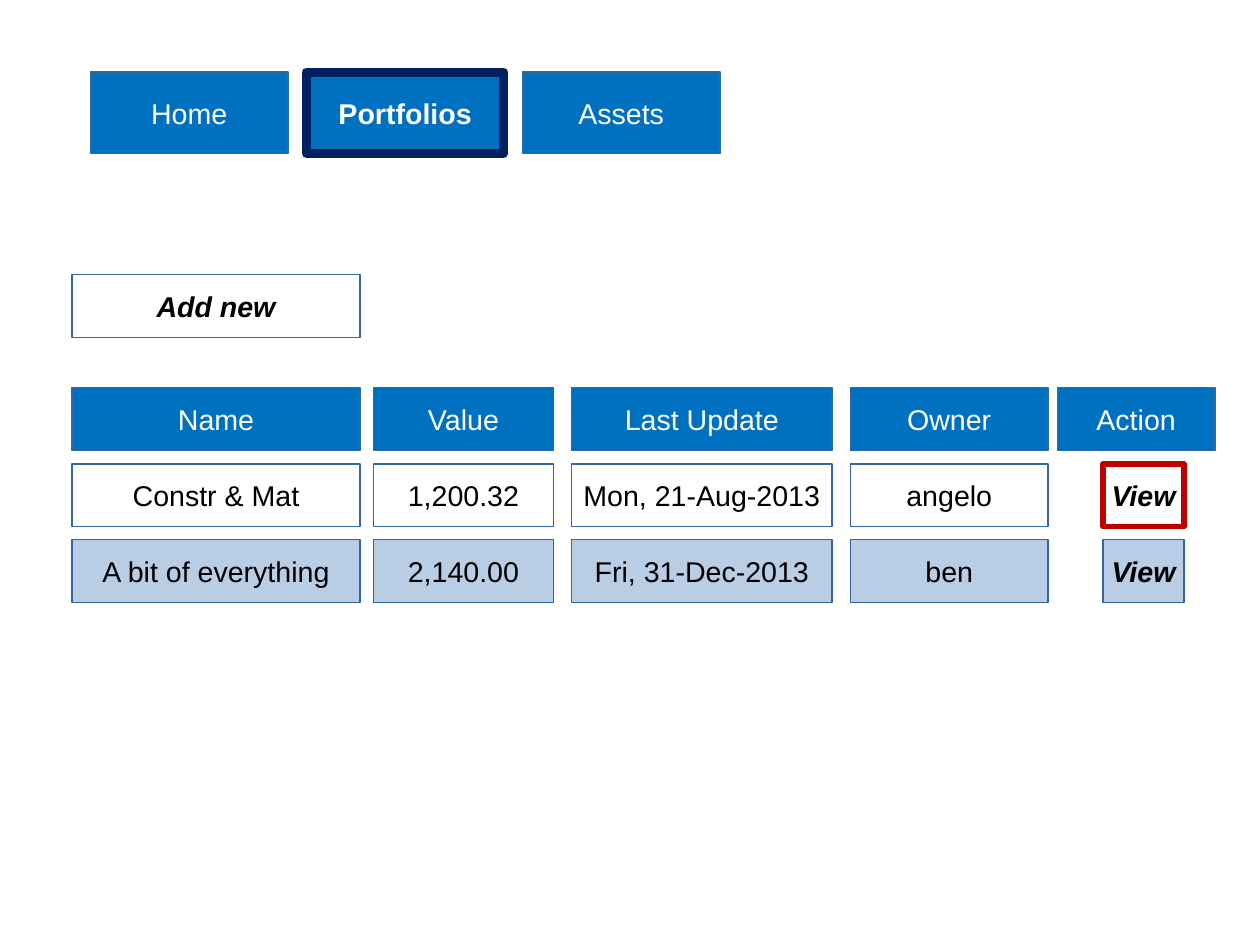
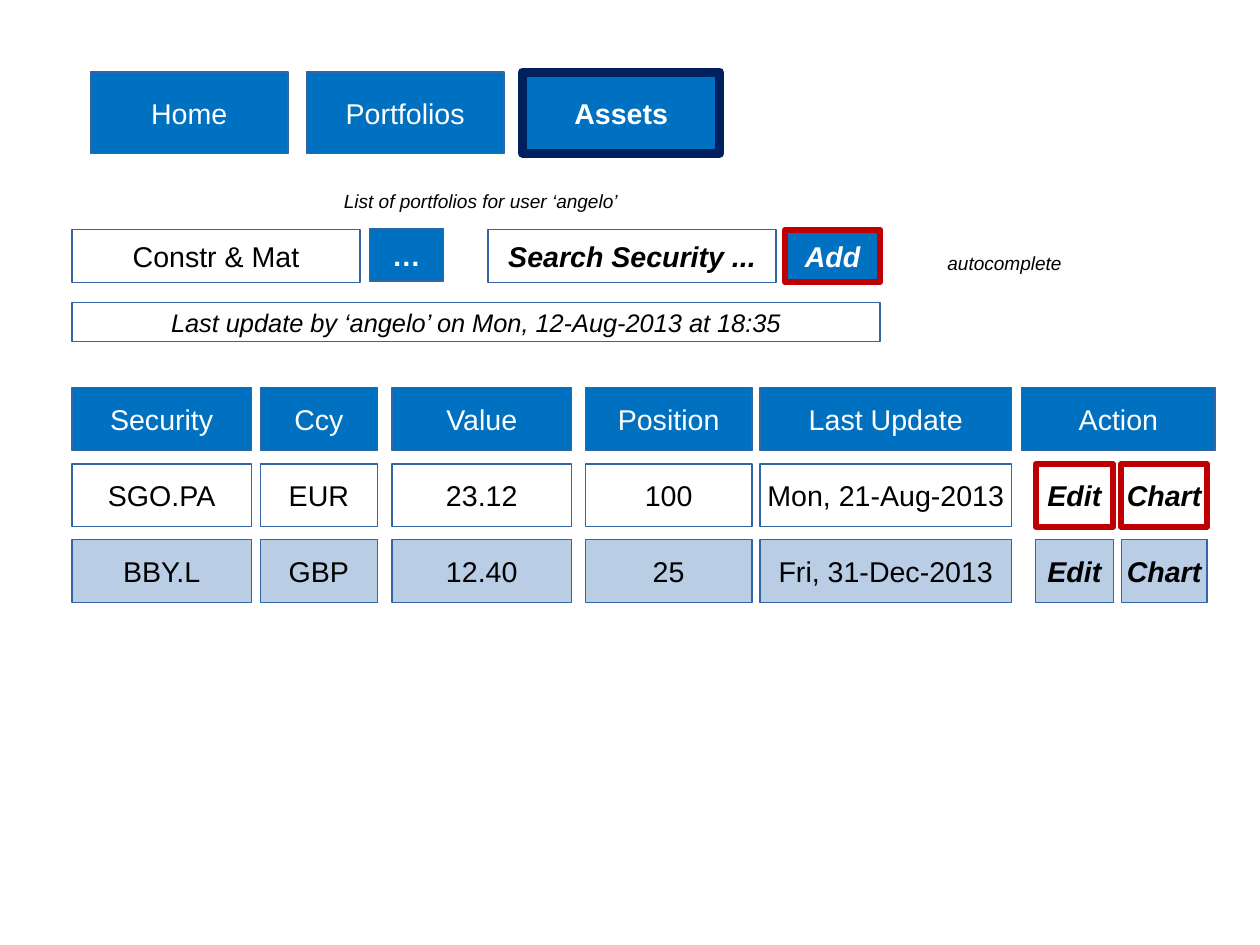
import pptx
import pptx.util
import pptx.dml.color
import pptx.enum.shapes
import pptx.enum.text

Inches = pptx.util.Inches
Pt = pptx.util.Pt
RGBColor = pptx.dml.color.RGBColor
Align = pptx.enum.text.PP_ALIGN
Anchor = pptx.enum.text.MSO_ANCHOR

BLUE = RGBColor(0x00, 0x70, 0xC0)
NAVY = RGBColor(0x00, 0x20, 0x60)
EDGE = RGBColor(0x34, 0x65, 0xA4)
PALE = RGBColor(0xB9, 0xCD, 0xE5)
RED = RGBColor(0xC0, 0x00, 0x00)
WHITE = RGBColor(0xFF, 0xFF, 0xFF)
BLACK = RGBColor(0x00, 0x00, 0x00)
FONT = "Arial"


def write(slide, text, left, top, width, height, fill=None, edge=EDGE,
          weight=0.75, size=18, bold=False, italic=False):
    area = [Inches(n) for n in (left, top, width, height)]
    if fill is None:
        frame = slide.shapes.add_textbox(*area).text_frame
        frame.word_wrap = True
    else:
        box = slide.shapes.add_shape(
            pptx.enum.shapes.MSO_SHAPE.RECTANGLE, *area)
        box.shadow.inherit = False
        box.fill.solid()
        box.fill.fore_color.rgb = fill
        box.line.color.rgb = edge
        box.line.width = Pt(weight)
        frame = box.text_frame
        frame.word_wrap = False
        frame.vertical_anchor = Anchor.MIDDLE
    par = frame.paragraphs[0]
    par.alignment = Align.LEFT if fill is None else Align.CENTER
    run = par.add_run()
    run.text = text
    font = run.font
    font.name = FONT
    font.size = Pt(size)
    font.bold = bold
    font.italic = italic
    font.color.rgb = WHITE if fill == BLUE else BLACK


deck = pptx.Presentation()
deck.slide_width = pptx.util.Cm(28)
deck.slide_height = pptx.util.Cm(21)

tabs = ["Home", "Portfolios", "Assets"]
pages = [
    {
        "tab": "Portfolios",
        "cols": [(0.63, 2.52), (3.27, 1.57), (5, 2.28), (7.44, 1.73),
                 (9.25, 1.38)],
        "head": ["Name", "Value", "Last Update", "Owner", "Action"],
        "rows": [
            ["Constr & Mat", "1,200.32", "Mon, 21-Aug-2013", "angelo"],
            ["A bit of everything", "2,140.00", "Fri, 31-Dec-2013", "ben"],
        ],
        "acts": [("View", 9.65, 0.71)],
        "weight": 3.25,
    },
    {
        "tab": "Assets",
        "cols": [(0.63, 1.57), (2.28, 1.02), (3.43, 1.57), (5.12, 1.46),
                 (6.65, 2.2), (8.94, 1.69)],
        "head": ["Security", "Ccy", "Value", "Position", "Last Update",
                 "Action"],
        "rows": [
            ["SGO.PA", "EUR", "23.12", "100", "Mon, 21-Aug-2013"],
            ["BBY.L", "GBP", "12.40", "25", "Fri, 31-Dec-2013"],
        ],
        "acts": [("Edit", 9.06, 0.68), ("Chart", 9.81, 0.75)],
        "weight": 3.75,
    },
]
tall = 0.55
looks = [(4.06, WHITE, RED), (4.72, PALE, EDGE)]
slides = []

for page in pages:
    slide = deck.slides.add_slide(deck.slide_layouts[6])
    slides.append(slide)
    for i, tab in enumerate(tabs):
        on = tab == page["tab"]
        write(slide, tab, 0.79 + 1.89 * i, 0.63, 1.73, 0.71, fill=BLUE,
              edge=NAVY if on else EDGE, weight=5.67 if on else 0.75, bold=on)
    for text, (left, width) in zip(page["head"], page["cols"]):
        write(slide, text, left, 3.39, width, tall, fill=BLUE)
    for row, (top, fill, edge) in zip(page["rows"], looks):
        for text, (left, width) in zip(row, page["cols"]):
            write(slide, text, left, top, width, tall, fill=fill)
        for text, left, width in page["acts"]:
            write(slide, text, left, top, width, tall, fill=fill, edge=edge,
                  weight=page["weight"] if edge == RED else 0.75,
                  bold=True, italic=True)

lists, assets = slides
write(lists, "Add new", 0.63, 2.4, 2.52, tall, fill=WHITE, bold=True,
      italic=True)

write(assets, "Constr & Mat", 0.63, 2.01, 2.52, 0.46, fill=WHITE)
write(assets, "…", 3.23, 2, 0.65, 0.46, fill=BLUE, bold=True)
write(assets, "Search Security ...", 4.27, 2.01, 2.52, 0.46, fill=WHITE,
      bold=True, italic=True)
write(assets, "Add", 6.87, 2.01, 0.83, 0.46, fill=BLUE, edge=RED, weight=4,
      bold=True, italic=True)
write(assets, "Last update by ‘angelo’ on Mon, 12-Aug-2013 at 18:35",
      0.63, 2.65, 7.07, 0.34, fill=WHITE, size=16, italic=True)
write(assets, "autocomplete", 8.19, 2.15, 1.68, 0.3, size=12, italic=True)
write(assets, "List of portfolios for user ‘angelo’", 2.91, 1.61, 2.72, 0.3,
      size=12, italic=True)

deck.save("out.pptx")
